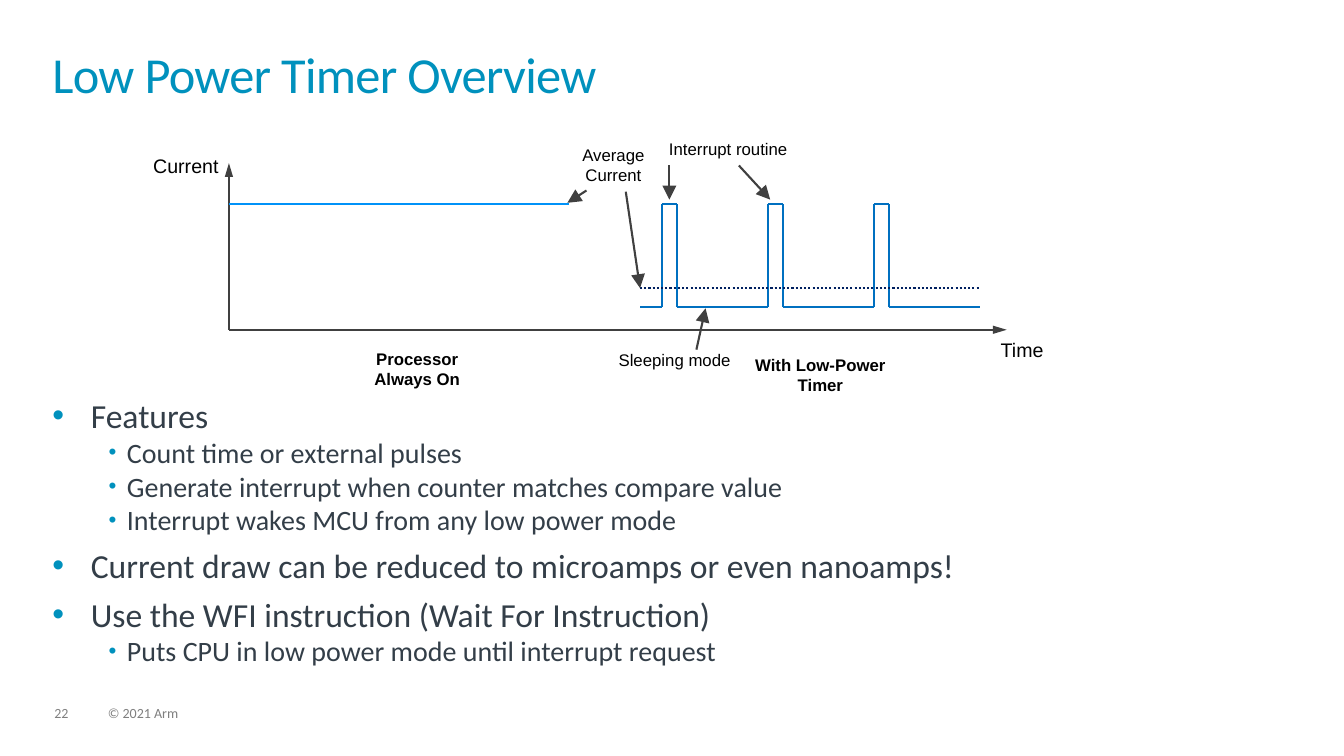
from lxml import etree
from pptx import Presentation
from pptx.dml.color import RGBColor
from pptx.enum.dml import MSO_LINE
from pptx.enum.shapes import MSO_CONNECTOR
from pptx.enum.text import MSO_ANCHOR, PP_ALIGN
from pptx.oxml.ns import qn
from pptx.util import Cm, Pt

LEFT, CENTER = PP_ALIGN.LEFT, PP_ALIGN.CENTER
TOP = MSO_ANCHOR.TOP
STRAIGHT = MSO_CONNECTOR.STRAIGHT
DOTTED = MSO_LINE.ROUND_DOT
COLORS = {"title": "0091BD", "body": "333E48", "footer": "7F7F7F", "label": "000000",
          "axis": "404040", "pulse": "0070C0", "always_on": "0092F8", "average": "002060"}

prs = Presentation()
prs.slide_width, prs.slide_height = Cm(33.87), Cm(19.05)
s = prs.slides.add_slide(prs.slide_layouts[5])


def add_text(tf, lines, size, color, font="Calibri", align=LEFT, bold=False, inset=True):
    tf.word_wrap = True
    tf.vertical_anchor = TOP
    if not inset:
        tf.margin_left = tf.margin_top = tf.margin_right = tf.margin_bottom = 0
    for i, line in enumerate(lines):
        p = tf.paragraphs[0] if i == 0 else tf.add_paragraph()
        p.alignment = align
        r = p.add_run()
        r.text = line
        r.font.name, r.font.size, r.font.bold = font, Pt(size), bold
        r.font.color.rgb = RGBColor.from_string(COLORS[color])


def add_line(x1, y1, x2, y2, color, arrow_width=None, dash=None):
    c = s.shapes.add_connector(STRAIGHT, Cm(x1), Cm(y1), Cm(x2), Cm(y2))
    c.line.color.rgb = RGBColor.from_string(COLORS[color])
    c.line.width = Pt(1.5)
    if dash:
        c.line.dash_style = dash
    if arrow_width:
        etree.SubElement(c.line._get_or_add_ln(), qn("a:tailEnd"),
                         type="triangle", w=arrow_width, len="lg")
    etree.SubElement(c._element.spPr, qn("a:effectLst"))


# Title
title = s.shapes.title
title.left, title.top, title.width, title.height = Cm(1.32), Cm(1.32), Cm(31.19), Cm(1.83)
add_text(title.text_frame, ["Low Power Timer Overview"], 36, "title", inset=False)
p = title.text_frame.paragraphs[0]
p.line_spacing = 0.85
p.runs[0].font._element.set("spc", "-50")

# Footer
for x, w, text in [(1.37, 0.86, "22"), (2.72, 12.88, "© 2021 Arm")]:
    tf = s.shapes.add_textbox(Cm(x), Cm(17.81), Cm(w), Cm(0.38)).text_frame
    add_text(tf, [text], 10, "footer", inset=False)
    tf.paragraphs[0].line_spacing = 0.9

# Bulleted list: level and text
bullets = [
    (0, "Features"),
    (1, "Count time or external pulses"),
    (1, "Generate interrupt when counter matches compare value"),
    (1, "Interrupt wakes MCU from any low power mode"),
    (0, "Current draw can be reduced to microamps or even nanoamps!"),
    (0, "Use the WFI instruction (Wait For Instruction)"),
    (1, "Puts CPU in low power mode until interrupt request"),
]
tf = s.shapes.add_textbox(Cm(1.32), Cm(9.96), Cm(31.19), Cm(7.06)).text_frame
add_text(tf, [text for level, text in bullets], 24, "body", inset=False)
for i, (p, (level, text)) in enumerate(zip(tf.paragraphs, bullets)):
    pPr = p._p.get_or_add_pPr()
    indent, hang = [(0.97, 0.97), (1.88, 0.46)][level]
    pPr.set("marL", str(Cm(indent)))
    pPr.set("indent", str(-Cm(hang)))
    clr = etree.SubElement(pPr, qn("a:buClr"))
    etree.SubElement(clr, qn("a:srgbClr"), val=COLORS["title"])
    etree.SubElement(pPr, qn("a:buSzPct"), val=["100000", "80000"][level])
    etree.SubElement(pPr, qn("a:buFont"), typeface="Arial")
    etree.SubElement(pPr, qn("a:buChar"), char="•")
    p.level = level
    p.space_before = Pt(6 if level == 0 and i else 0)
    p.runs[0].font.size = Pt([24, 20][level])

# Axes
x0, y0 = 5.77, 8.31
add_line(x0, y0, x0, 4.11, "axis", "med")
add_line(x0, y0, 25.37, y0, "axis", "med")

# Current with the processor always on
high, low, average = 5.13, 7.74, 7.26
add_line(x0, high, 14.33, high, "always_on")

# Current with the low-power timer: sleep, then three equal pulses
start, first, width, period = 16.13, 16.69, 0.38, 2.67
add_line(start, low, first, low, "pulse")
for i in range(3):
    rise = first + i * period
    fall = rise + width
    add_line(rise, low, rise, high, "pulse")
    add_line(rise, high, fall, high, "pulse")
    add_line(fall, low, fall, high, "pulse")
    add_line(fall, low, rise + period, low, "pulse")
add_line(start, average, first + 3 * period, average, "average", dash=DOTTED)

# Pointers from the labels
for x1, y1, x2, y2 in [
    (16.87, 4.17, 16.87, 5.03),
    (18.62, 4.17, 19.41, 5.03),
    (17.55, 8.81, 17.78, 7.77),
    (14.78, 4.8, 14.3, 5.11),
    (15.77, 4.83, start, average),
]:
    add_line(x1, y1, x2, y2, "axis", "lg")

# Labels
for x, y, w, h, lines, size, align, bold in [
    (3.61, 3.76, 2.2, 0.86, ["Current"], 14, LEFT, False),
    (24.97, 8.38, 2.2, 0.86, ["Time"], 14, LEFT, False),
    (16.61, 3.38, 4.11, 0.76, ["Interrupt routine"], 12, LEFT, False),
    (15.34, 8.69, 3.4, 0.76, ["Sleeping mode"], 12, LEFT, False),
    (14.15, 3.53, 2.62, 1.3, ["Average", "Current"], 12, CENTER, False),
    (8.46, 8.66, 4.11, 1.27, ["Processor Always On"], 12, CENTER, True),
    (18.62, 8.81, 4.11, 1.27, ["With Low-Power Timer"], 12, CENTER, True),
]:
    tf = s.shapes.add_textbox(Cm(x), Cm(y), Cm(w), Cm(h)).text_frame
    add_text(tf, lines, size, "label", "Arial", align, bold)

prs.save("out.pptx")
